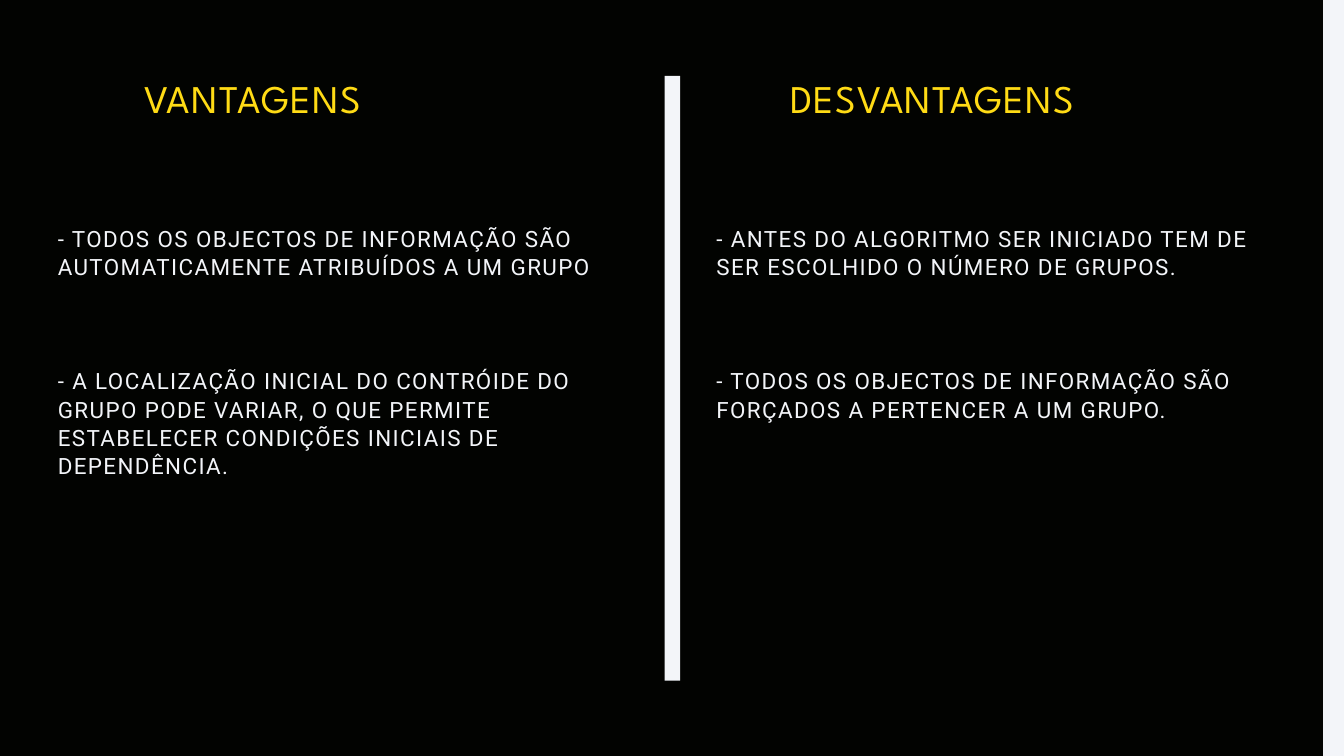
import dataclasses

import pptx
import pptx.dml.color
import pptx.enum.shapes
import pptx.enum.text
import pptx.util


@dataclasses.dataclass(frozen=True)
class Theme:
    back: str = "020301"
    pale: str = "F3F5F9"
    gold: str = "FFDB15"
    head: str = "League Spartan"
    body: str = "Roboto"
    big: float = 42
    small: float = 24
    big_line: float = 46.2
    small_line: float = 30.5
    gap: float = 1.5


COLS, ROWS = 20, 11.25  # square cells, one inch each


def tint(code):
    return pptx.dml.color.RGBColor.from_string(code)


def write(frame, text, *, font, size, line, color, gap):
    """Fill a text frame with one paragraph; gap is letter spacing in points."""
    para = frame.paragraphs[0]
    para.line_spacing = pptx.util.Pt(line)
    run = para.add_run()
    run.text = text
    run.font.name = font
    run.font.size = pptx.util.Pt(size)
    run.font.color.rgb = tint(color)
    run._r.get_or_add_rPr().set("spc", str(int(gap * 100)))


class Page:
    def __init__(self, deck, theme):
        self.theme = theme
        self.cell = deck.slide_width / COLS
        self.slide = deck.slides.add_slide(deck.slide_layouts[6])
        fill = self.slide.background.fill
        fill.solid()
        fill.fore_color.rgb = tint(theme.back)

    def span(self, *cells):
        return [round(n * self.cell) for n in cells]

    def bar(self, x, y, wide, high):
        kind = pptx.enum.shapes.MSO_SHAPE.RECTANGLE
        bar = self.slide.shapes.add_shape(kind, *self.span(x, y, wide, high))
        bar.shadow.inherit = False
        bar.fill.solid()
        bar.fill.fore_color.rgb = tint(self.theme.pale)
        bar.line.fill.background()

    def text(self, text, x, y, wide, high, **style):
        box = self.slide.shapes.add_textbox(*self.span(x, y, wide, high))
        frame = box.text_frame
        frame.word_wrap = True
        frame.auto_size = pptx.enum.text.MSO_AUTO_SIZE.SHAPE_TO_FIT_TEXT
        frame.margin_left = frame.margin_right = 0
        frame.margin_top = frame.margin_bottom = 0
        write(frame, text, gap=self.theme.gap, **style)

    def title(self, text, x, wide):
        look = self.theme
        self.text(text, x, 1.16, wide, 0.67, font=look.head, size=look.big,
                  line=look.big_line, color=look.gold)

    def point(self, text, x, y, lines):
        look = self.theme
        self.text(text, x, y, 8.58, lines * look.small_line / 72,
                  font=look.body, size=look.small,
                  line=look.small_line, color=look.pale)


# Title, its left and width, left of the points, then (text, lines) pairs
SIDES = [
    ("VANTAGENS", 2.15, 4.23, 0.86, [
        ("- TODOS OS OBJECTOS DE INFORMAÇÃO SÃO AUTOMATICAMENTE "
         "ATRIBUÍDOS A UM GRUPO", 2),
        ("- A LOCALIZAÇÃO INICIAL DO CONTRÓIDE DO GRUPO PODE VARIAR, "
         "O QUE PERMITE ESTABELECER CONDIÇÕES INICIAIS DE DEPENDÊNCIA.", 4),
    ]),
    ("DESVANTAGENS", 11.76, 5.49, 10.66, [
        ("- ANTES DO ALGORITMO SER INICIADO TEM DE SER ESCOLHIDO "
         "O NÚMERO DE GRUPOS.", 2),
        ("- TODOS OS OBJECTOS DE INFORMAÇÃO SÃO FORÇADOS A PERTENCER "
         "A UM GRUPO.", 2),
    ]),
]
TOPS = (3.32, 5.44)


def main():
    deck = pptx.Presentation()
    deck.slide_width = pptx.util.Inches(COLS)
    deck.slide_height = pptx.util.Inches(ROWS)
    page = Page(deck, Theme())
    page.bar(9.89, 1.13, 0.23, 9)
    page.bar(19.69, 0, COLS - 19.69, ROWS)
    for head, left, wide, edge, points in SIDES:
        page.title(head, left, wide)
        for top, (text, lines) in zip(TOPS, points):
            page.point(text, edge, top, lines)
    deck.save("out.pptx")


if __name__ == "__main__":
    main()
